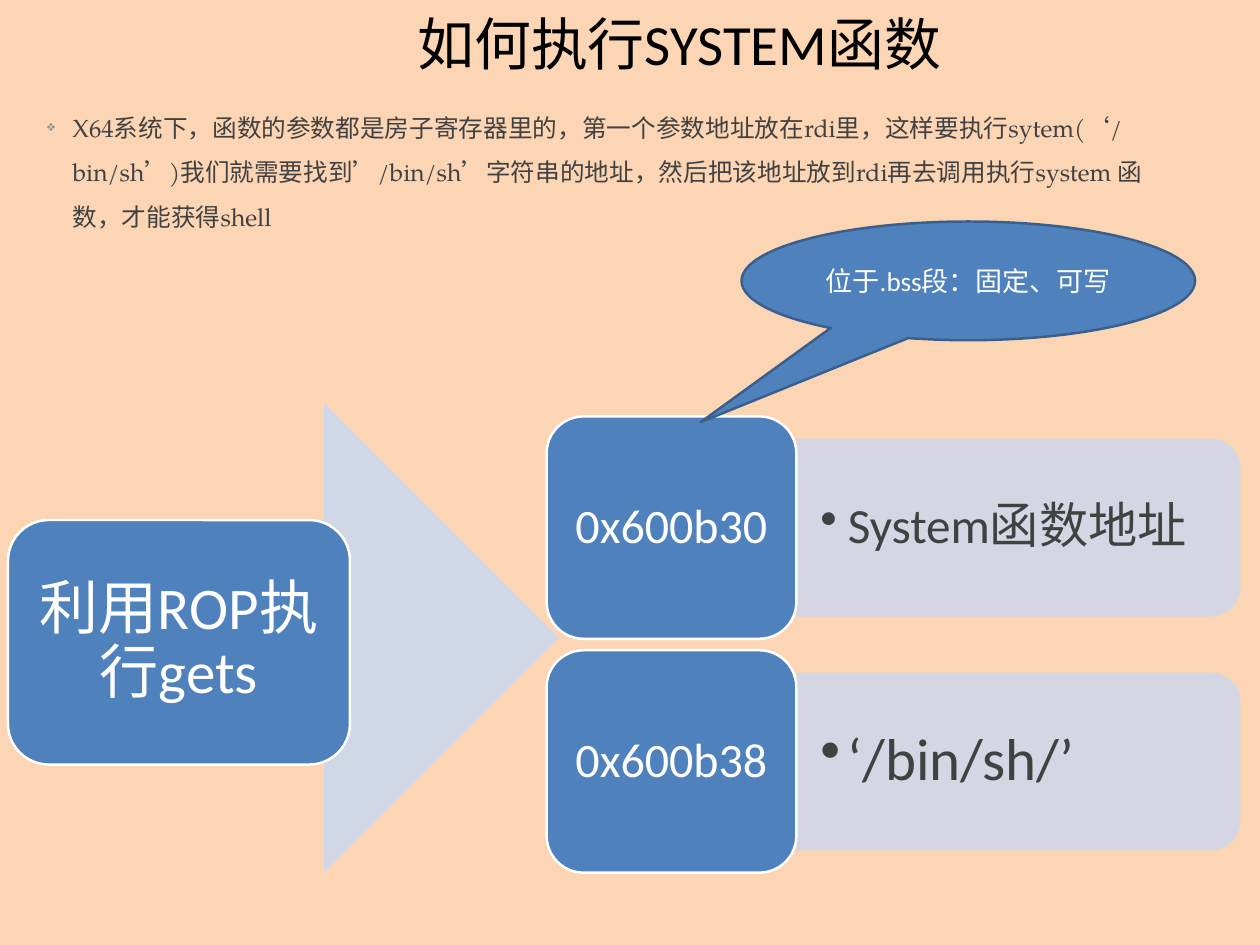
from lxml import etree
from pptx import Presentation
from pptx.dml.color import RGBColor
from pptx.enum.shapes import MSO_SHAPE
from pptx.enum.text import MSO_ANCHOR, PP_ALIGN
from pptx.oxml.ns import qn
from pptx.util import Inches, Pt

ROUNDED = MSO_SHAPE.ROUNDED_RECTANGLE
HALF_ROUNDED = MSO_SHAPE.ROUND_2_SAME_RECTANGLE
ARROW = MSO_SHAPE.RIGHT_ARROW
CALLOUT = MSO_SHAPE.OVAL_CALLOUT
TOP, MIDDLE = MSO_ANCHOR.TOP, MSO_ANCHOR.MIDDLE
LEFT, CENTER = PP_ALIGN.LEFT, PP_ALIGN.CENTER

WIDTH, HEIGHT = Inches(14.22), Inches(10.67)
COLUMN, ROW = WIDTH / 128, HEIGHT / 96
SANS, SERIF = "Calibri", "TeX Gyre Pagella"
COLORS = {
    "page": "FCD5B5",
    "title": "000000",
    "text": "414141",
    "marker": "929292",
    "blue": "4F81BD",
    "outline": "3A5F8C",
    "pale": "D0D8E8",
    "white": "FFFFFF",
}
TILE_LEFT, TILE_TOP, TILE_WIDTH, TILE_HEIGHT = 55.53, 42.3, 25.38, 22.6
TILE_PITCH = 23.76
PANEL_WIDTH, PANEL_SHARE = 45.1, 0.8
MEMORY = [("0x600b30", "System函数地址", 40), ("0x600b38", "‘/bin/sh/’", 48)]


def color(name):
    """Return a named palette colour."""
    return RGBColor.from_string(COLORS[name])


def place(left, top, width, height):
    """Turn grid columns and rows into slide lengths."""
    return [round(v) for v in (left * COLUMN, top * ROW, width * COLUMN, height * ROW)]


def add_bullet(para, mark, indent, tint=None, percent=None):
    """Give a paragraph a hanging bullet."""
    props = para._p.get_or_add_pPr()
    props.set("marL", str(Inches(indent)))
    props.set("indent", str(-Inches(indent)))
    if tint:
        holder = etree.SubElement(props, qn("a:buClr"))
        etree.SubElement(holder, qn("a:srgbClr"), val=COLORS[tint])
    if percent:
        etree.SubElement(props, qn("a:buSzPct"), val=str(percent * 1000))
    etree.SubElement(props, qn("a:buChar"), char=mark)


def write(shape, text, size, tint, font=SANS, align=CENTER, anchor=MIDDLE,
          margins=(0.1, 0.05), spacing=None, bullet=None):
    """Fill a shape with one styled paragraph."""
    frame = shape.text_frame
    frame.word_wrap = True
    frame.vertical_anchor = anchor
    frame.margin_left = frame.margin_right = Inches(margins[0])
    frame.margin_top = frame.margin_bottom = Inches(margins[1])
    para = frame.paragraphs[0]
    para.text = text
    para.alignment = align
    if spacing:
        para.line_spacing = spacing
    if bullet:
        add_bullet(para, **bullet)
    para.font.name = font
    para.font.size = Pt(size)
    para.font.color.rgb = color(tint)


def add_label(page, area, text, size, tint, **style):
    """Add a text box on the grid."""
    write(page.shapes.add_textbox(*place(*area)), text, size, tint, **style)


def add_block(page, kind, area, fill, line=None):
    """Add a flat filled shape on the grid."""
    shape = page.shapes.add_shape(kind, *place(*area))
    shape.shadow.inherit = False
    shape.fill.solid()
    shape.fill.fore_color.rgb = color(fill)
    if line:
        shape.line.color.rgb = color(line)
        shape.line.width = Pt(2)
    else:
        shape.line.fill.background()
    return shape


def add_panel(page, left, middle, text, size):
    """Add a translucent panel rounded on the right, with its bullet text."""
    height = TILE_HEIGHT * PANEL_SHARE
    center = left + PANEL_WIDTH / 2
    area = (center - height / 2, middle - PANEL_WIDTH / 2, height, PANEL_WIDTH)
    panel = add_block(page, HALF_ROUNDED, area, "pale")
    panel.rotation = 90
    tint = panel.fill._xPr.find(qn("a:solidFill")).find(qn("a:srgbClr"))
    etree.SubElement(tint, qn("a:alpha"), val="90000")
    add_label(page, (left, middle - height / 2, PANEL_WIDTH - 1, height), text, size,
              "text", align=LEFT, margins=(0.27, 0.14), spacing=0.9,
              bullet={"mark": "•", "indent": 0.31})


def add_memory_row(page, index, address, content, size):
    """Add one address tile and the panel naming what it holds."""
    top = TILE_TOP + index * TILE_PITCH
    add_panel(page, TILE_LEFT + TILE_WIDTH, top + TILE_HEIGHT / 2, content, size)
    area = (TILE_LEFT, top, TILE_WIDTH, TILE_HEIGHT)
    tile = add_block(page, ROUNDED, area, "blue", "white")
    write(tile, address, 39, "white", margins=(0.16, 0.08), spacing=0.9)


def main():
    """Build the slide and save the deck."""
    deck = Presentation()
    deck.slide_width, deck.slide_height = WIDTH, HEIGHT
    page = deck.slides.add_slide(deck.slide_layouts[6])
    page.background.fill.solid()
    page.background.fill.fore_color.rgb = color("page")

    add_label(page, (10, 0, 118, 8.73), "如何执行SYSTEM函数", 46.2, "title",
              margins=(0.14, 0.07))
    add_label(page, (4.5, 9.72, 112, 16.9),
              "X64系统下，函数的参数都是房子寄存器里的，第一个参数地址放在rdi里，"
              "这样要执行sytem(‘/bin/sh’)我们就需要找到’/bin/sh’字符串的地址，"
              "然后把该地址放到rdi再去调用执行system 函数，才能获得shell",
              20, "text", font=SERIF, align=LEFT, anchor=TOP, margins=(0.03, 0.03),
              spacing=1.5,
              bullet={"mark": "❖", "indent": 0.29, "tint": "marker", "percent": 60})

    for index, (address, content, size) in enumerate(MEMORY):
        add_memory_row(page, index, address, content, size)

    add_block(page, ARROW, (7.92, 40.95, 48.87, 47.7), "pale")
    source = add_block(page, ROUNDED, (0.81, 52.83, 34.74, 24.84), "blue", "white")
    write(source, "利用ROP执行gets", 48, "white", margins=(0.2, 0.2), spacing=0.9)

    note = add_block(page, CALLOUT, (75.33, 22.5, 46.08, 12.06), "blue", "outline")
    note.adjustments[0], note.adjustments[1] = -0.59, 1.19
    write(note, "位于.bss段：固定、可写", 22, "white")
    deck.save("out.pptx")


if __name__ == "__main__":
    main()
